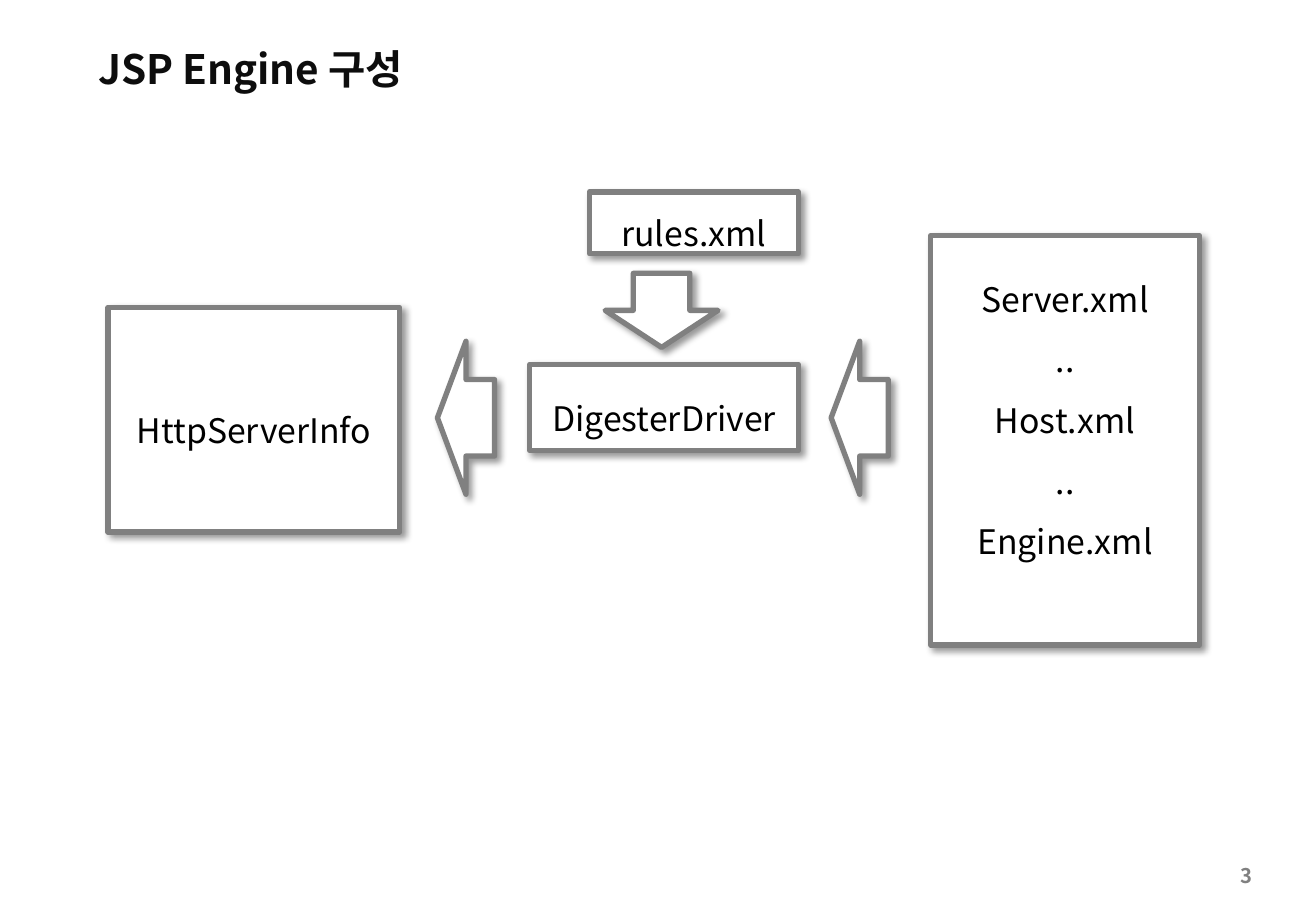
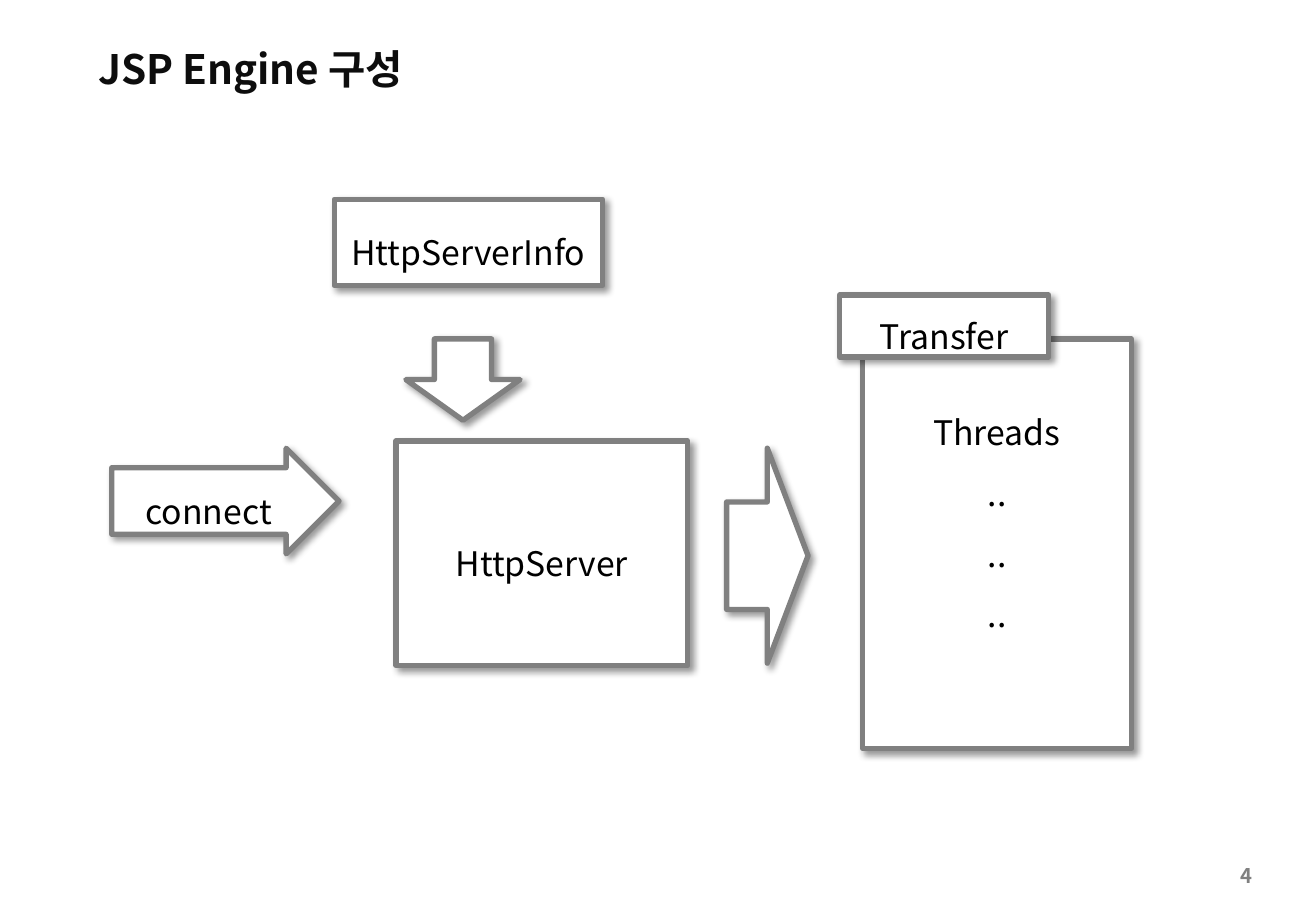
from lxml.etree import SubElement
from pptx import Presentation
from pptx.dml.color import RGBColor
from pptx.enum.shapes import MSO_SHAPE as Preset
from pptx.enum.text import MSO_ANCHOR as Anchor, MSO_AUTO_SIZE as AutoSize, PP_ALIGN as Align
from pptx.oxml.ns import qn
from pptx.util import Inches, Pt

COLORS = {
    "paper": "FFFFFF",
    "outline": "808080",
    "title": "0D0D0D",
    "label": "000000",
    "number": "808080",
    "shadow": "000000",
}
FONT = "Noto Sans CJK KR"
TITLE = "JSP Engine 구성"
LARGE_BOX = (2.4, 1.85)
WIDE_BOX = (2.21, 0.71)
SMALL_BOX = (1.72, 0.51)
TALL_BOX = (2.21, 3.37)
SIDE_ARROW = (0.47, 1.26)
TALL_BOTTOM_INSET = 0.55


def color(name):
    return RGBColor.from_string(COLORS[name])


def write(frame, lines, size, color_name, bold=False, align=Align.CENTER, spacing=1.5):
    frame.word_wrap = True
    frame.text = "\n".join(lines)
    for paragraph in frame.paragraphs:
        paragraph.alignment = align
        paragraph.line_spacing = spacing
        font = paragraph.font
        font.size = Pt(size)
        font.bold = bold
        font.color.rgb = color(color_name)
        font.name = FONT
        defaults = paragraph._p.pPr.find(qn("a:defRPr"))
        SubElement(defaults, qn("a:ea"), typeface=FONT)


def add_drop_shadow(shape):
    shape.shadow.inherit = False
    effects = shape._element.spPr.find(qn("a:effectLst"))
    shadow = SubElement(
        effects, qn("a:outerShdw"), blurRad=str(Pt(4)), dist=str(Pt(3)),
        dir=str(45 * 60000), algn="tl", rotWithShape="0")
    tint = SubElement(shadow, qn("a:srgbClr"), val=COLORS["shadow"])
    SubElement(tint, qn("a:alpha"), val="40000")


def add_block(slide, preset, left, top, size, lines=(), rotation=0):
    block = slide.shapes.add_shape(preset, *map(Inches, (left, top, *size)))
    block.rotation = rotation
    block.fill.solid()
    block.fill.fore_color.rgb = color("paper")
    block.line.color.rgb = color("outline")
    block.line.width = Pt(3.15)
    add_drop_shadow(block)
    if lines:
        block.text_frame.vertical_anchor = Anchor.MIDDLE
        write(block.text_frame, lines, 20, "label")
    return block


def add_box(slide, left, top, size, *lines):
    return add_block(slide, Preset.RECTANGLE, left, top, size, lines)


def add_list_box(slide, left, top, *lines):
    box = add_box(slide, left, top, TALL_BOX, *lines)
    box.text_frame.margin_bottom = Inches(TALL_BOTTOM_INSET)


def add_page(deck, number):
    slide = deck.slides.add_slide(deck.slide_layouts[6])
    slide.background.fill.solid()
    slide.background.fill.fore_color.rgb = color("paper")
    title = slide.shapes.add_textbox(Inches(0.71), Inches(0.11), Inches(5.86), Inches(0.71))
    write(title.text_frame, [TITLE], 24, "title", bold=True, align=Align.LEFT)
    title.text_frame.auto_size = AutoSize.SHAPE_TO_FIT_TEXT
    footer = slide.shapes.add_textbox(Inches(9.87), Inches(6.96), Inches(0.78), Inches(0.4))
    footer.text_frame.vertical_anchor = Anchor.BOTTOM
    write(footer.text_frame, [str(number)], 12, "number", bold=True, spacing=1.0)
    return slide


def build_configuration(deck):
    slide = add_page(deck, 3)
    add_box(slide, 0.89, 2.53, LARGE_BOX, "HttpServerInfo")
    add_box(slide, 4.36, 3, WIDE_BOX, "DigesterDriver")
    add_box(slide, 4.85, 1.58, SMALL_BOX, "rules.xml")
    add_list_box(slide, 7.66, 1.94, "Server.xml", "..", "Host.xml", "..", "Engine.xml")
    add_block(slide, Preset.LEFT_ARROW, 5.14, 2.09, (0.61, 0.93), rotation=270)
    for left in (6.84, 3.6):
        add_block(slide, Preset.LEFT_ARROW, left, 2.81, SIDE_ARROW)


def build_connection(deck):
    slide = add_page(deck, 4)
    add_box(slide, 3.26, 3.63, LARGE_BOX, "HttpServer")
    add_box(slide, 2.75, 1.64, WIDE_BOX, "HttpServerInfo")
    add_list_box(slide, 7.1, 2.79, "Threads", "..", "..", "..")
    add_box(slide, 6.91, 2.43, SMALL_BOX, "Transfer")
    add_block(slide, Preset.DOWN_ARROW, 3.34, 2.79, (0.94, 0.67))
    connect = add_block(slide, Preset.RIGHT_ARROW, 0.92, 3.69, (1.87, 0.87), ["connect"])
    connect.adjustments[0] = 0.63
    add_block(slide, Preset.DOWN_ARROW, 5.43, 4.24, (1.77, 0.67), rotation=270)


def main():
    deck = Presentation()
    deck.slide_width = Inches(10.83)
    deck.slide_height = Inches(7.5)
    build_configuration(deck)
    build_connection(deck)
    deck.save("out.pptx")


main()
